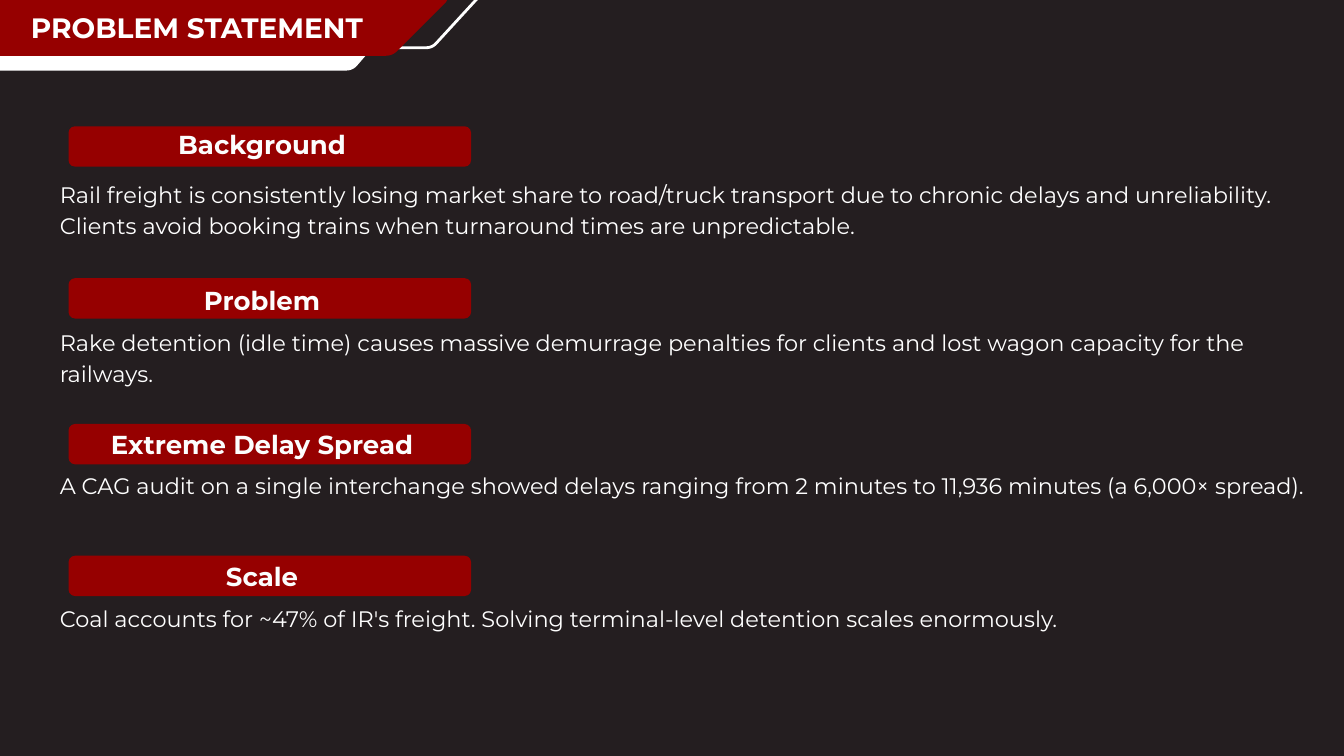
from dataclasses import dataclass

from pptx import Presentation
from pptx.dml.color import RGBColor
from pptx.enum.shapes import MSO_SHAPE
from pptx.enum.text import MSO_ANCHOR, MSO_AUTO_SIZE, PP_ALIGN
from pptx.util import Pt

PX = 9144


@dataclass(frozen=True)
class Theme:
    """Colours, font and type sizes of the slide."""
    back: str = "241E20"
    red: str = "960000"
    white: str = "FFFFFF"
    pale: str = "FCFDFD"
    font: str = "Montserrat"
    title: float = 30
    head: float = 27.8
    body: float = 24


THEME = Theme()


def color(code):
    """Turn a hex code into a colour."""
    return RGBColor.from_string(code)


def place(shape, box):
    """Move a shape to a box given in px."""
    shape.left, shape.top, shape.width, shape.height = [v * PX for v in box]


def paint(shape, fill=None, line=None, width=3):
    """Set the fill and line of a shape and drop its shadow."""
    shape.shadow.inherit = False
    if fill:
        shape.fill.solid()
        shape.fill.fore_color.rgb = color(fill)
    else:
        shape.fill.background()
    if line:
        shape.line.color.rgb = color(line)
        shape.line.width = Pt(width)
    else:
        shape.line.fill.background()


def write(shape, text, size, lead, ink=THEME.white, bold=False, align=PP_ALIGN.LEFT):
    """Fill a shape with one formatted paragraph."""
    frame = shape.text_frame
    frame.word_wrap = True
    frame.auto_size = MSO_AUTO_SIZE.NONE
    frame.vertical_anchor = MSO_ANCHOR.TOP
    frame.margin_left = frame.margin_right = 0
    frame.margin_top = frame.margin_bottom = 0
    frame.text = text
    para = frame.paragraphs[0]
    para.alignment = align
    para.line_spacing = Pt(lead)
    font = para.runs[0].font
    font.name = THEME.font
    font.size = Pt(size)
    font.bold = bold
    font.color.rgb = color(ink)


def label(slide, box, text, **style):
    """Add a text box with formatted text."""
    shape = slide.shapes.add_textbox(0, 0, 0, 0)
    place(shape, box)
    write(shape, text, **style)


def toward(start, end, dist):
    """Find the point at a distance from start on the way to end."""
    dx, dy = end[0] - start[0], end[1] - start[1]
    part = dist / (dx * dx + dy * dy) ** 0.5
    return start[0] + dx * part, start[1] + dy * part


def curve(prior, corner, after, radius, steps=8):
    """Return points that round one corner."""
    a, b = toward(corner, prior, radius), toward(corner, after, radius)
    marks = [i / steps for i in range(steps + 1)]
    return [tuple((1 - t) ** 2 * p + 2 * t * (1 - t) * q + t * t * r
                  for p, q, r in zip(a, corner, b)) for t in marks]


def ribbon(slide, box, slant, radius, **style):
    """Draw a rounded tab whose right side comes to a point."""
    left, top, width, height = box
    right, base = left + width, top + height
    ends = [(left, top), (right - slant, top), (right, top + height / 2),
            (right - slant, base), (left, base)]
    dots = []
    for i, corner in enumerate(ends):
        dots += curve(ends[i - 1], corner, ends[(i + 1) % len(ends)], radius)
    dots = [(round(x * PX), round(y * PX)) for x, y in dots]
    pen = slide.shapes.build_freeform(*dots[0], scale=1.0)
    pen.add_line_segments(dots[1:], close=True)
    paint(pen.convert_to_shape(), **style)


def banner(slide, left, top, text):
    """Draw the layered corner banner with the slide title."""
    ribbon(slide, (left - 120, top - 112, 847, 183), 84, 9, line=THEME.white)
    ribbon(slide, (left - 19, top - 87, 627, 192), 83, 10, fill=THEME.white)
    ribbon(slide, (left - 19, top - 87, 688, 170), 85, 10, fill=THEME.red)
    title = slide.shapes.title
    slide.shapes._spTree.append(title._element)
    place(title, (left + 46, top + 7, 499, 56))
    write(title, text, size=THEME.title, lead=42.1, bold=True)


def section(slide, box, head, text, rise, drop):
    """Draw a heading bar with its paragraph below."""
    left, top, width, height = box
    bar = slide.shapes.add_shape(MSO_SHAPE.ROUNDED_RECTANGLE, 0, 0, 0, 0)
    place(bar, (left + 13, top, 599, 60))
    bar.adjustments[0] = 0.16
    paint(bar, fill=THEME.red)
    label(slide, (left, top + drop, width, height - drop), text,
          size=THEME.body, lead=33.6)
    label(slide, (left + 56, top + rise, 490, 52), head, size=THEME.head,
          lead=39, ink=THEME.pale, bold=True, align=PP_ALIGN.CENTER)


PARTS = [
    ((89, 188, 1820, 164), "Background",
     "Rail freight is consistently losing market share to road/truck transport "
     "due to chronic delays and unreliability. Clients avoid booking trains "
     "when turnaround times are unpredictable.", -4, 75),
    ((89, 414, 1770, 158), "Problem",
     "Rake detention (idle time) causes massive demurrage penalties for clients "
     "and lost wagon capacity for the railways.", 1, 69),
    ((89, 631, 1868, 108), "Extreme Delay Spread",
     "A CAG audit on a single interchange showed delays ranging from 2 minutes "
     "to 11,936 minutes (a 6,000× spread).", -1, 65),
    ((89, 827, 1730, 110), "Scale",
     "Coal accounts for ~47% of IR's freight. Solving terminal-level detention "
     "scales enormously.", -1, 67),
]


def main():
    """Build and save the slide."""
    deck = Presentation()
    deck.slide_width, deck.slide_height = 2000 * PX, 1125 * PX
    slide = deck.slides.add_slide(deck.slide_layouts[5])
    slide.background.fill.solid()
    slide.background.fill.fore_color.rgb = color(THEME.back)
    banner(slide, 0, 0, "PROBLEM STATEMENT")
    for part in PARTS:
        section(slide, *part)
    deck.save("out.pptx")


if __name__ == "__main__":
    main()
